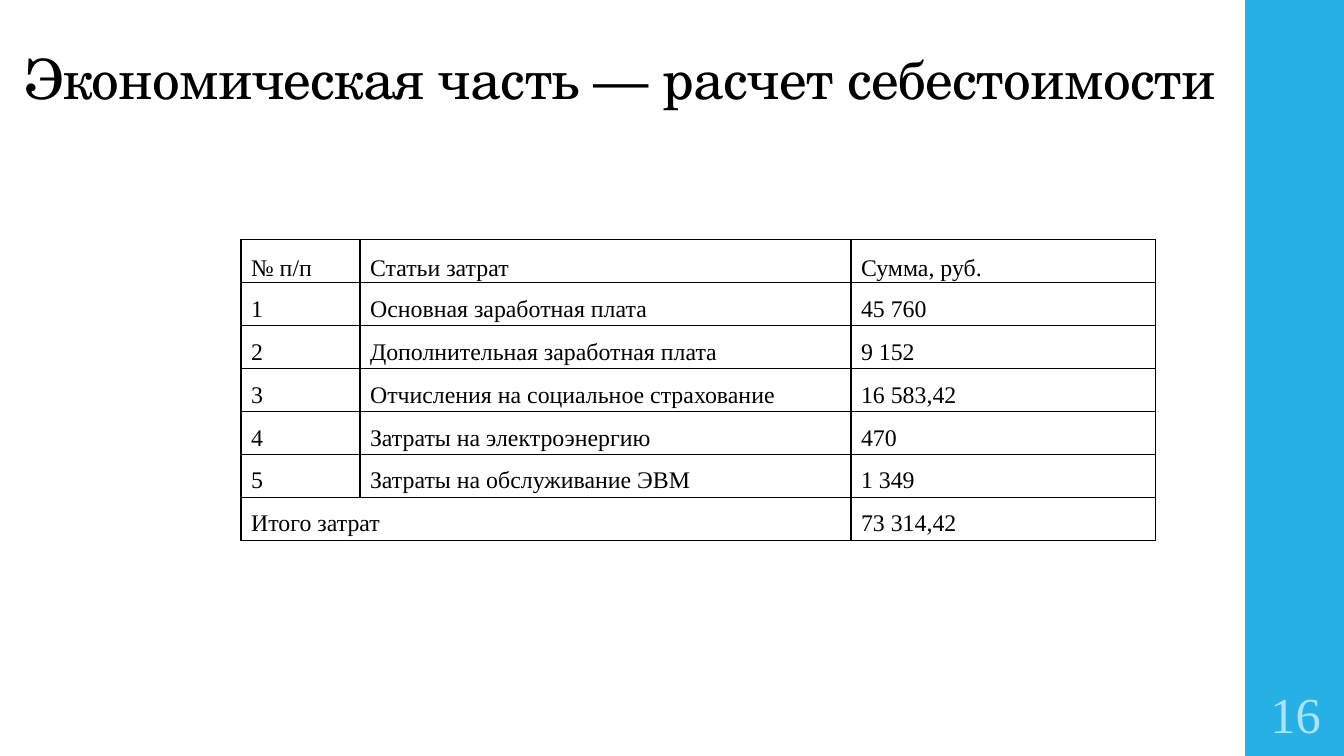
import dataclasses

import lxml.etree
import pptx
import pptx.dml.color
import pptx.enum.shapes
import pptx.enum.text
import pptx.oxml.ns
import pptx.util

Inches = pptx.util.Inches
Pt = pptx.util.Pt
Align = pptx.enum.text.PP_ALIGN
Anchor = pptx.enum.text.MSO_ANCHOR
qn = pptx.oxml.ns.qn


@dataclasses.dataclass(frozen=True)
class Theme:
    band: str = "27B0E4"
    ink: str = "000000"
    page_number: str = "ADE1F5"
    title_font: str = "TeX Gyre Schola"
    body_font: str = "Times New Roman"
    title_size: float = 39.6
    table_size: float = 17
    page_size: float = 36
    border_width: float = 1


class CostSlide:
    def __init__(self, prs, theme):
        self.theme = theme
        self.s = prs.slides.add_slide(prs.slide_layouts[6])

    def add_run(self, p, text, font, size, color):
        r = p.add_run()
        r.text = text
        r.font.name = font
        r.font.size = Pt(size)
        r.font.color.rgb = pptx.dml.color.RGBColor.from_string(color)
        return r

    def band(self, left, top, width, height):
        sp = self.s.shapes.add_shape(
            pptx.enum.shapes.MSO_SHAPE.RECTANGLE,
            Inches(left), Inches(top), Inches(width), Inches(height))
        sp.shadow.inherit = False
        sp.fill.solid()
        sp.fill.fore_color.rgb = pptx.dml.color.RGBColor.from_string(self.theme.band)
        sp.line.fill.background()

    def text(self, box, text, font, size, color, anchor, align,
             inset=(0.1, 0.05), line_spacing=None, tracking=None):
        """Add one line of text; inset is (sides, top and bottom), tracking is in points."""
        tf = self.s.shapes.add_textbox(*map(Inches, box)).text_frame
        tf.word_wrap = True
        tf.vertical_anchor = anchor
        tf.margin_left = tf.margin_right = Inches(inset[0])
        tf.margin_top = tf.margin_bottom = Inches(inset[1])
        p = tf.paragraphs[0]
        p.alignment = align
        p.line_spacing = line_spacing
        r = self.add_run(p, text, font, size, color)
        if tracking is not None:
            r.font._element.set("spc", str(round(tracking * 100)))

    def table(self, left, top, col_widths, row_height, rows):
        """Add a bordered table; None in a row extends the cell to its left."""
        table = self.s.shapes.add_table(
            len(rows), len(col_widths), Inches(left), Inches(top),
            Inches(sum(col_widths)), Inches(row_height * len(rows))).table
        table.first_row = table.horz_banding = False
        for column, width in zip(table.columns, col_widths):
            column.width = Inches(width)
        for i, values in enumerate(rows):
            table.rows[i].height = Inches(row_height)
            for j, value in enumerate(values):
                cell = table.cell(i, j)
                self.format_cell(cell, Anchor.MIDDLE if i == 0 else Anchor.TOP)
                if value is None:
                    table.cell(i, j - 1).merge(cell)
                    continue
                p = cell.text_frame.paragraphs[0]
                p.alignment = Align.JUSTIFY
                p.line_spacing = 1.5
                self.add_run(p, value, self.theme.body_font,
                             self.theme.table_size, self.theme.ink)

    def format_cell(self, cell, anchor):
        cell.vertical_anchor = anchor
        cell.margin_left = cell.margin_right = Inches(0.1)
        cell.margin_top = cell.margin_bottom = 0
        tc_pr = cell._tc.get_or_add_tcPr()
        for side in ("a:lnL", "a:lnR", "a:lnT", "a:lnB"):
            line = lxml.etree.SubElement(
                tc_pr, qn(side), w=str(Pt(self.theme.border_width)))
            fill = lxml.etree.SubElement(line, qn("a:solidFill"))
            lxml.etree.SubElement(fill, qn("a:srgbClr"), val=self.theme.ink)
        cell.fill.background()


def main():
    prs = pptx.Presentation()
    prs.slide_width, prs.slide_height = Inches(13.33), Inches(7.5)
    theme = Theme()
    slide = CostSlide(prs, theme)

    slide.band(12.35, 0, 1, 7.5)
    slide.text((0.14, 0.4, 13.56, 0.75), "Экономическая часть — расчет себестоимости",
               theme.title_font, theme.title_size, theme.ink,
               Anchor.BOTTOM, Align.LEFT, line_spacing=0.9, tracking=-0.5)
    slide.table(2.39, 2.38, (1.18, 4.87, 3.02), 0.42, [
        ("№ п/п", "Статьи затрат", "Сумма, руб."),
        ("1", "Основная заработная плата", "45 760"),
        ("2", "Дополнительная заработная плата", "9 152"),
        ("3", "Отчисления на социальное страхование", "16 583,42"),
        ("4", "Затраты на электроэнергию", "470"),
        ("5", "Затраты на обслуживание ЭВМ", "1 349"),
        ("Итого затрат", None, "73 314,42"),
    ])
    slide.text((12.35, 6.75, 1, 0.65), "16", theme.body_font, theme.page_size,
               theme.page_number, Anchor.MIDDLE, Align.CENTER, inset=(0.05, 0.05))

    prs.save("out.pptx")


if __name__ == "__main__":
    main()
